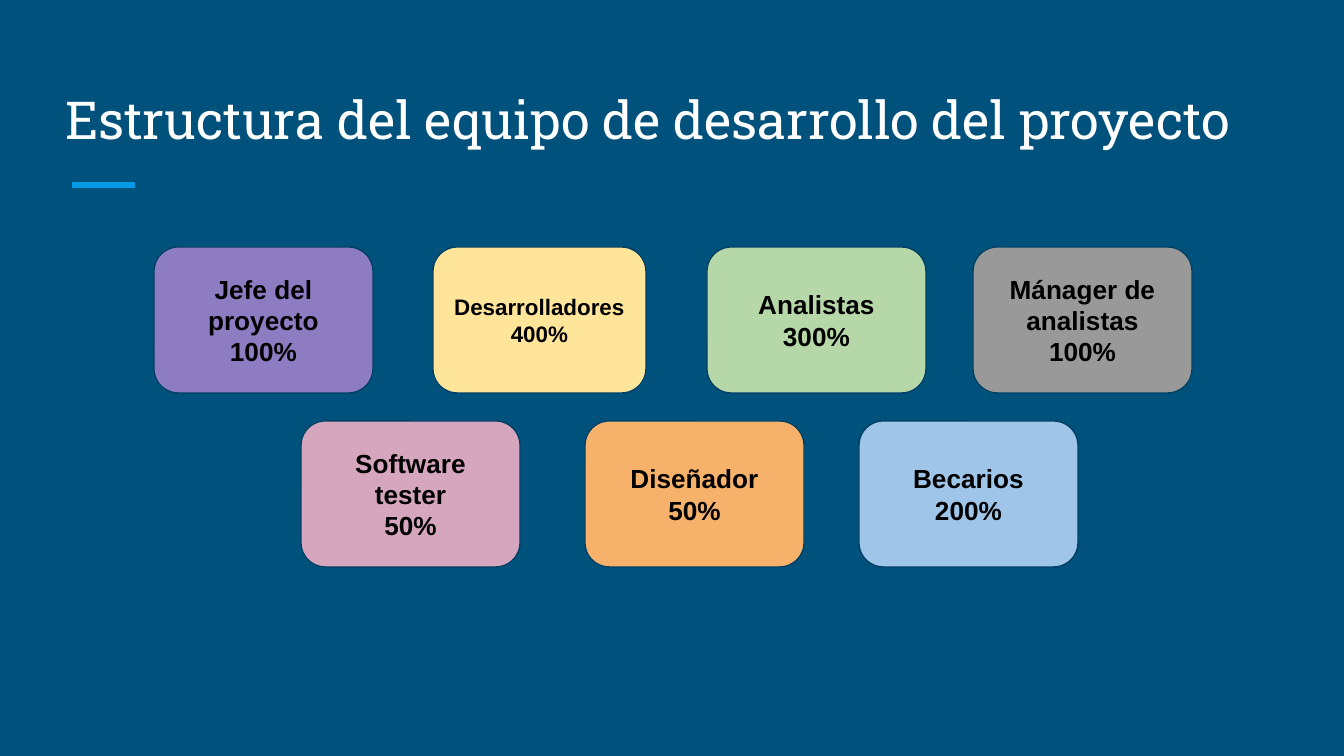
import pptx
import pptx.util
import pptx.dml.color
import pptx.enum.shapes
import pptx.enum.text
import pptx.oxml.ns
import lxml.etree

SCALE = 914400 / 134.4  # EMU in one px
WIDE, HIGH = 219, 146   # role card
PAD = 13
TOP_ROW, LOW_ROW = 247, 421

HUES = {
    "back": "00517C", "bar": "039BE5", "edge": "004065",
    "white": "FFFFFF", "black": "000000",
    "violet": "8E7CC3", "yellow": "FFE599", "green": "B6D7A8", "gray": "999999",
    "pink": "D5A6BD", "orange": "F6B26B", "blue": "9FC5E8",
}

# role, share, fill, left, top, width, text size
ROLES = [
    ("Jefe del proyecto", "100%", "violet", 154, TOP_ROW, WIDE, 14),
    ("Desarrolladores", "400%", "yellow", 433, TOP_ROW, 213, 12),
    ("Analistas", "300%", "green", 707, TOP_ROW, WIDE, 14),
    ("Mánager de analistas", "100%", "gray", 973, TOP_ROW, WIDE, 14),
    ("Software tester", "50%", "pink", 301, LOW_ROW, WIDE, 14),
    ("Diseñador", "50%", "orange", 585, LOW_ROW, WIDE, 14),
    ("Becarios", "200%", "blue", 859, LOW_ROW, WIDE, 14),
]


def px(count):
    return pptx.util.Emu(round(count * SCALE))


def hue(name):
    return pptx.dml.color.RGBColor.from_string(HUES[name])


def set_font(font, face, size, color, bold=False):
    font.name = face
    font.size = pptx.util.Pt(size)
    font.color.rgb = hue(color)
    font.bold = bold


def set_frame(frame, anchor):
    frame.word_wrap = True
    frame.auto_size = pptx.enum.text.MSO_AUTO_SIZE.NONE
    frame.vertical_anchor = anchor
    frame.margin_left = frame.margin_right = px(PAD)
    frame.margin_top = frame.margin_bottom = px(PAD)


def add_title(slide, text):
    title = slide.shapes.title
    title.left, title.top, title.width, title.height = px(52), px(62), px(1230), px(101)
    frame = title.text_frame
    frame.text = text
    set_frame(frame, pptx.enum.text.MSO_ANCHOR.BOTTOM)
    line = frame.paragraphs[0]
    line.alignment = pptx.enum.text.PP_ALIGN.LEFT
    line.line_spacing = 1
    line.space_before = pptx.util.Pt(0)
    set_font(line.runs[0].font, "Roboto Slab", 28, "white")


def add_bar(slide):
    bar = slide.shapes.add_connector(
        pptx.enum.shapes.MSO_CONNECTOR.STRAIGHT, px(72), px(185), px(135), px(185))
    bar.line.color.rgb = hue("bar")
    bar.line.width = pptx.util.Pt(3)
    lxml.etree.SubElement(bar.element.spPr, pptx.oxml.ns.qn("a:effectLst"))


def add_card(slide, role, share, fill, left, top, width, size):
    card = slide.shapes.add_shape(
        pptx.enum.shapes.MSO_SHAPE.ROUNDED_RECTANGLE,
        px(left), px(top), px(width), px(HIGH))
    card.shadow.inherit = False
    card.fill.solid()
    card.fill.fore_color.rgb = hue(fill)
    card.line.color.rgb = hue("edge")
    card.line.width = pptx.util.Pt(0.75)
    frame = card.text_frame
    frame.text = f"{role}\n{share}"
    set_frame(frame, pptx.enum.text.MSO_ANCHOR.MIDDLE)
    for line in frame.paragraphs:
        line.alignment = pptx.enum.text.PP_ALIGN.CENTER
        set_font(line.runs[0].font, "Arial", size, "black", bold=True)


def main():
    deck = pptx.Presentation()
    deck.slide_width, deck.slide_height = px(1344), px(756)
    slide = deck.slides.add_slide(deck.slide_layouts.get_by_name("Title Only"))
    slide.background.fill.solid()
    slide.background.fill.fore_color.rgb = hue("back")

    # Heading with its accent bar
    add_bar(slide)
    add_title(slide, "Estructura del equipo de desarrollo del proyecto")

    # Team roles in two rows
    for role in ROLES:
        add_card(slide, *role)

    deck.save("out.pptx")


if __name__ == "__main__":
    main()
